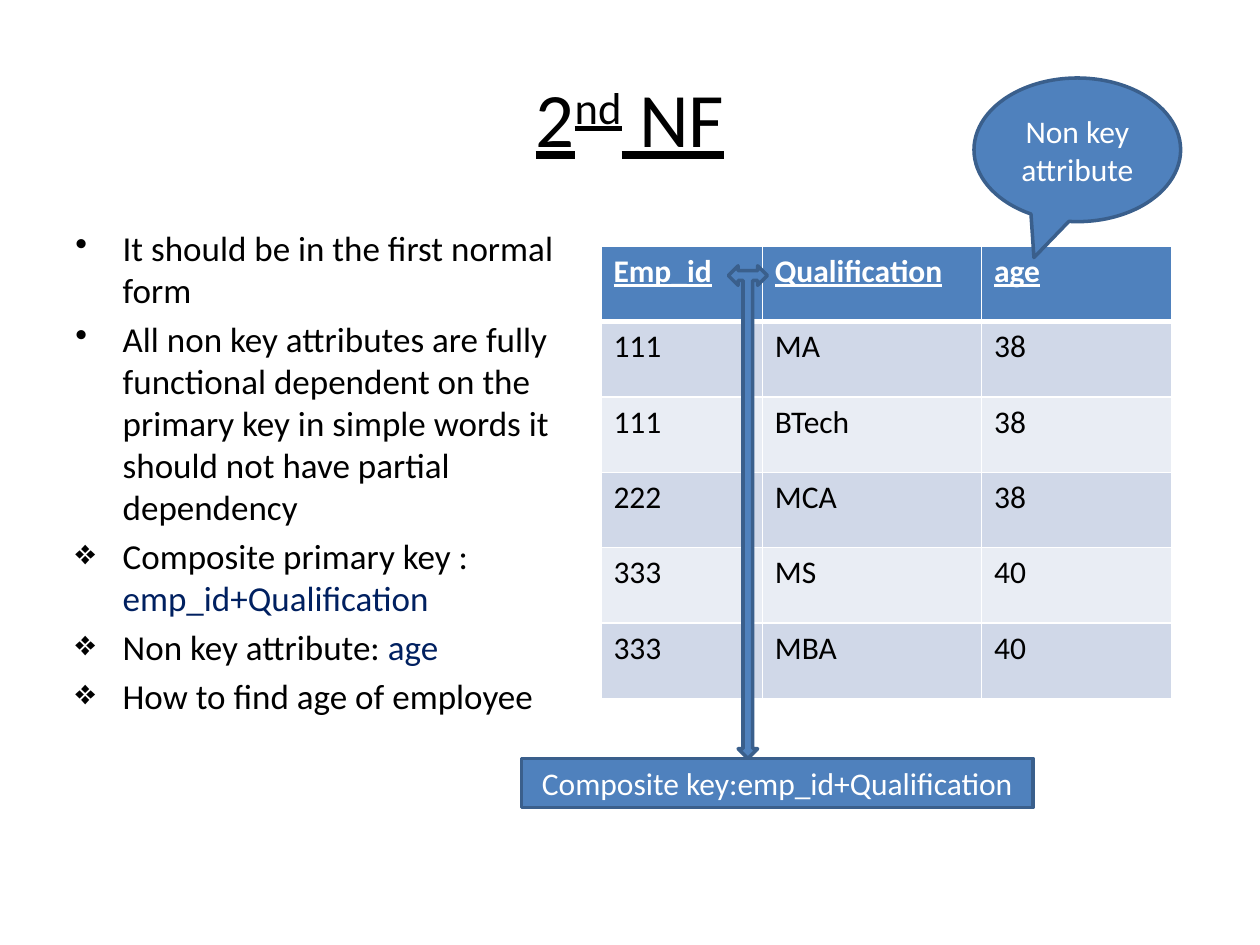
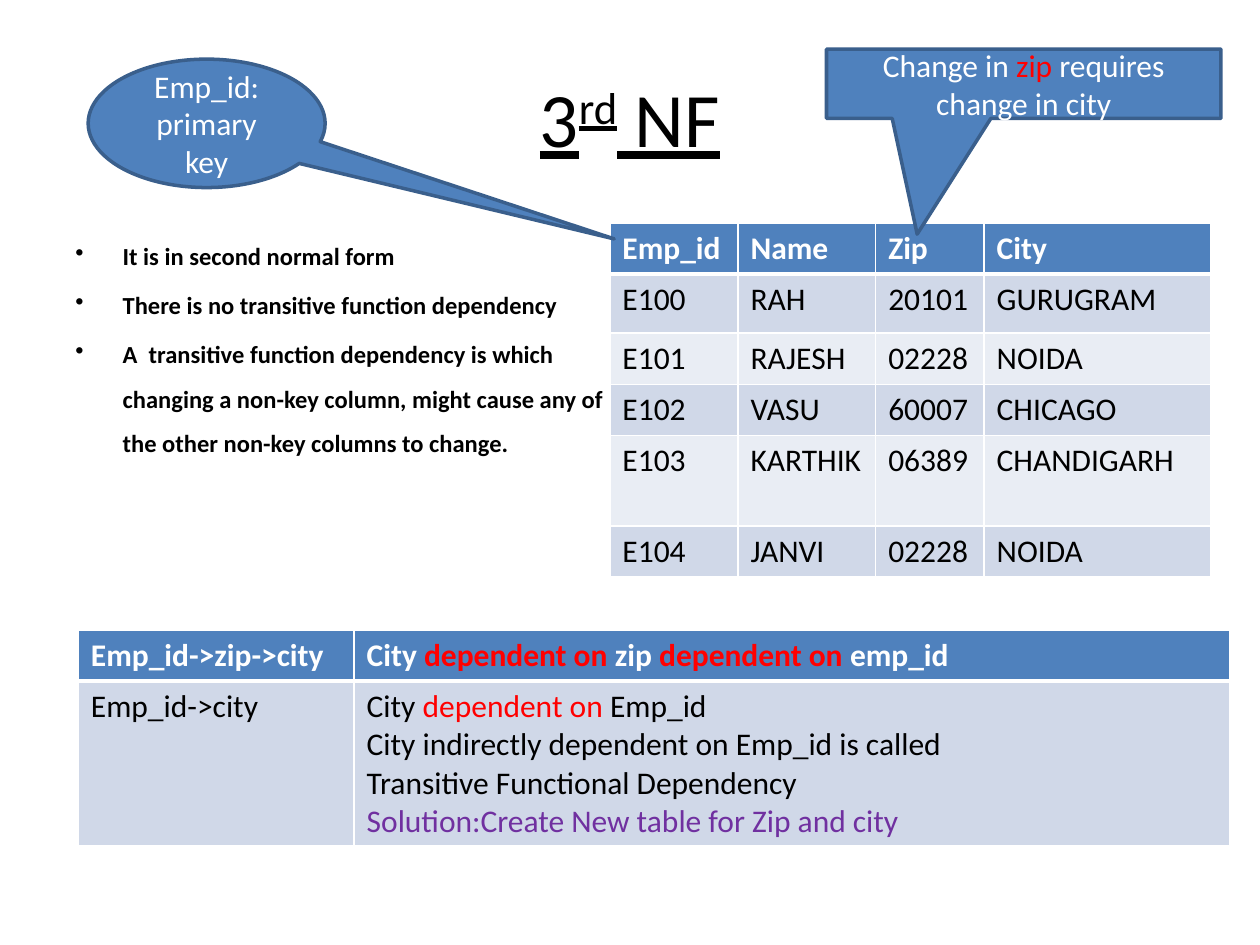
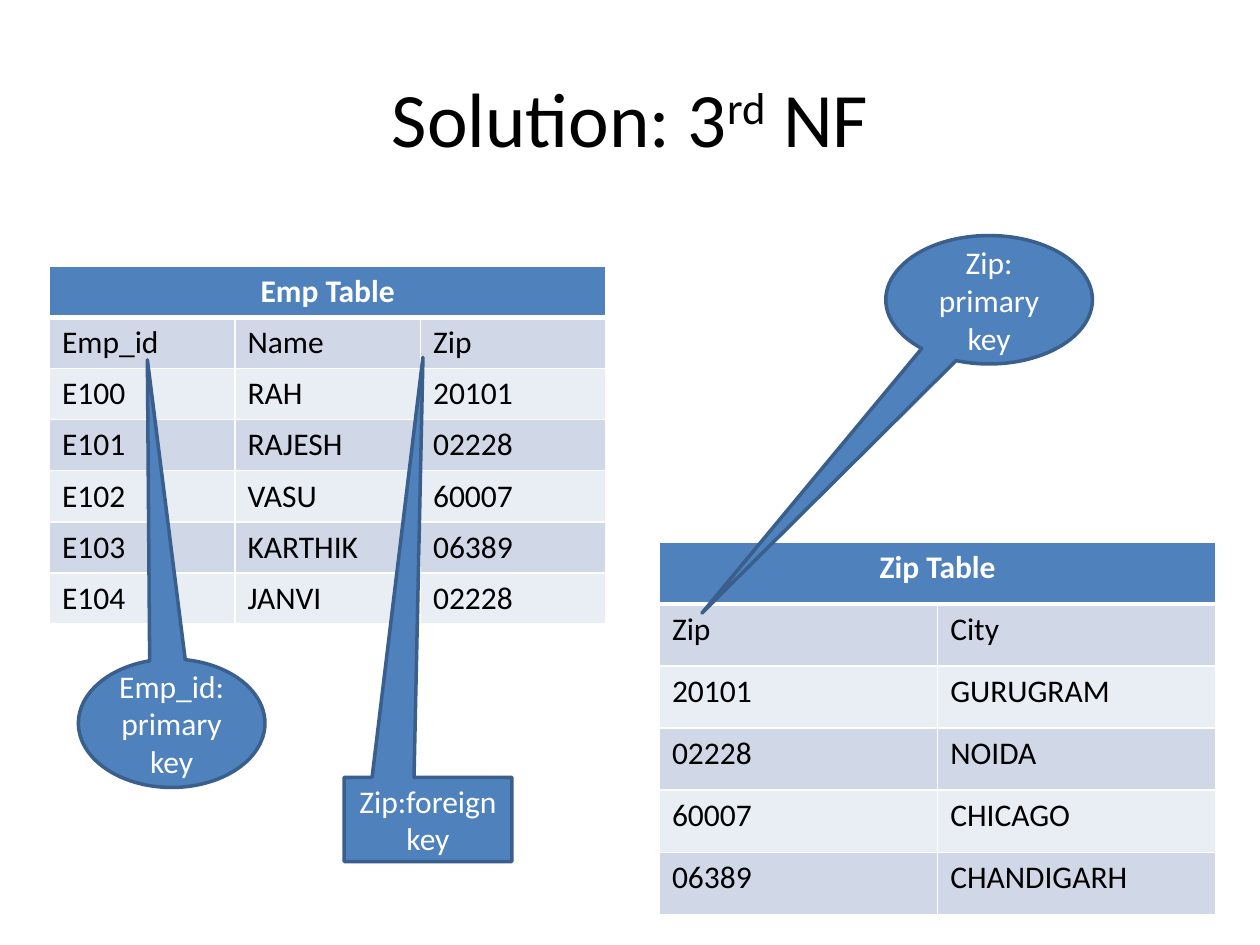
from lxml import etree
from pptx import Presentation
from pptx.dml.color import RGBColor
from pptx.enum.shapes import MSO_SHAPE
from pptx.enum.text import MSO_ANCHOR, PP_ALIGN
from pptx.oxml.ns import qn
from pptx.util import Pt

BLACK = RGBColor(0x00, 0x00, 0x00)
WHITE = RGBColor(0xFF, 0xFF, 0xFF)
BLUE = RGBColor(0x4F, 0x81, 0xBD)
DARK_BLUE = RGBColor(0x3A, 0x5F, 0x8C)
NAVY = RGBColor(0x00, 0x20, 0x60)
RED = RGBColor(0xFF, 0x00, 0x00)
PURPLE = RGBColor(0x70, 0x30, 0xA0)
BAND = RGBColor(0xD0, 0xD8, 0xE8)
LIGHT_BAND = RGBColor(0xE9, 0xED, 0xF4)

LEFT, CENTER = PP_ALIGN.LEFT, PP_ALIGN.CENTER
TOP, MIDDLE = MSO_ANCHOR.TOP, MSO_ANCHOR.MIDDLE
RECTANGLE = MSO_SHAPE.RECTANGLE
OVAL_CALLOUT = MSO_SHAPE.OVAL_CALLOUT
RECTANGLE_CALLOUT = MSO_SHAPE.RECTANGULAR_CALLOUT
THREE_WAY_ARROW = MSO_SHAPE.LEFT_RIGHT_UP_ARROW

FONT = "Calibri"
DOT, DIAMOND = "•", "❖"

EMPLOYEE_HEADER = ("Emp_id", "Name", "Zip", "City")
EMPLOYEES = [
    ("E100", "RAH", "20101", "GURUGRAM"),
    ("E101", "RAJESH", "02228", "NOIDA"),
    ("E102", "VASU", "60007", "CHICAGO"),
    ("E103", "KARTHIK", "06389", "CHANDIGARH"),
    ("E104", "JANVI", "02228", "NOIDA"),
]


class SlideBuilder:
    def __init__(self, deck):
        self.deck = deck
        self.page = None

    def new_page(self):
        self.page = self.deck.slides.add_slide(self.deck.slide_layouts[6])

    def put_text(self, frame, content, size=18, color=BLACK, align=LEFT,
                 bold=False, underline=False):
        paragraphs = [[content]] if isinstance(content, str) else content
        for index, spans in enumerate(paragraphs):
            para = frame.add_paragraph() if index else frame.paragraphs[0]
            para.alignment = align
            for item in spans:
                text, span_color = (item, color) if isinstance(item, str) else item
                span = para.add_run()
                span.text = text
                span.font.name = FONT
                span.font.size = Pt(size)
                span.font.bold = bold
                span.font.underline = underline
                span.font.color.rgb = span_color

    def text_box(self, left, top, width, height, anchor):
        box = self.page.shapes.add_textbox(Pt(left), Pt(top), Pt(width), Pt(height))
        frame = box.text_frame
        frame.word_wrap = True
        frame.vertical_anchor = anchor
        return frame

    def title(self, start, suffix, underline):
        frame = self.text_box(36, 21.6, 648, 90, MIDDLE)
        self.put_text(frame, [[start, suffix, " NF"]], 44, align=CENTER, underline=underline)
        raised = frame.paragraphs[0].runs[1]
        raised._r.get_or_add_rPr().set("baseline", "30000")

    def bullets(self, items, size, bold=False, line_spacing=1.0):
        frame = self.text_box(36, 126, 318.2, 356.4, TOP)
        self.put_text(frame, [spans for _, spans in items], size, bold=bold)
        for para, (mark, _) in zip(frame.paragraphs, items):
            para.line_spacing = line_spacing
            para.space_before = Pt(size * 0.2)
            properties = para._p.get_or_add_pPr()
            properties.set("marL", str(Pt(27)))
            properties.set("indent", str(-Pt(27)))
            etree.SubElement(properties, qn("a:buChar"), char=mark)

    def border(self, cell, side, width):
        line = etree.SubElement(cell._tc.get_or_add_tcPr(), qn(f"a:ln{side}"), w=str(Pt(width)))
        fill = etree.SubElement(line, qn("a:solidFill"))
        etree.SubElement(fill, qn("a:srgbClr"), val=str(WHITE))

    def table(self, left, top, widths, heights, rows, underline_header=False):
        table = self.page.shapes.add_table(
            len(rows), len(widths), Pt(left), Pt(top), Pt(sum(widths)), Pt(sum(heights))).table
        table.horz_banding = False
        for column, width in zip(table.columns, widths):
            column.width = Pt(width)
        for row, height in zip(table.rows, heights):
            row.height = Pt(height)
        for row_index, row in enumerate(rows):
            header = row_index == 0
            fill = BLUE if header else BAND if row_index % 2 else LIGHT_BAND
            for column_index in range(len(widths)):
                cell = table.cell(row_index, column_index)
                for side in "LRTB":
                    thick = (row_index, side) in ((0, "B"), (1, "T"))
                    self.border(cell, side, 3 if thick else 1)
                cell.fill.solid()
                cell.fill.fore_color.rgb = fill
            merged = len(row) < len(widths)
            if merged:
                table.cell(row_index, 0).merge(table.cell(row_index, len(widths) - 1))
            for column_index, content in enumerate(row):
                self.put_text(table.cell(row_index, column_index).text_frame, content,
                              color=WHITE if header else BLACK,
                              align=CENTER if merged else LEFT,
                              bold=header, underline=header and underline_header)

    def shape(self, kind, left, top, width, height, content="", pointer=(), rotation=0):
        shape = self.page.shapes.add_shape(kind, Pt(left), Pt(top), Pt(width), Pt(height))
        shape.shadow.inherit = False
        shape.rotation = rotation
        shape.fill.solid()
        shape.fill.fore_color.rgb = BLUE
        shape.line.color.rgb = DARK_BLUE
        shape.line.width = Pt(2)
        for index, value in enumerate(pointer):
            shape.adjustments[index] = value
        if content:
            shape.text_frame.word_wrap = True
            shape.text_frame.vertical_anchor = MIDDLE
            self.put_text(shape.text_frame, content, color=WHITE, align=CENTER)


def second_normal_form(builder):
    builder.new_page()
    builder.title("2", "nd", underline=True)
    builder.bullets([
        (DOT, ["It should be in the first normal form"]),
        (DOT, ["All non key attributes are fully functional dependent on the primary key "
               "in simple words it should not have partial dependency"]),
        (DIAMOND, ["Composite primary key : ", ("emp_id+Qualification", NAVY)]),
        (DIAMOND, ["Non key attribute: ", ("age", NAVY)]),
        (DIAMOND, ["How to find age of employee"]),
    ], 20)
    builder.table(343.4, 140.6, [92.2, 125.3, 108.7], [43.1] * 6, [
        ("Emp_id", "Qualification", "age"),
        ("111", "MA", "38"),
        ("111", "BTech", "38"),
        ("222", "MCA", "38"),
        ("333", "MS", "40"),
        ("333", "MBA", "40"),
    ], underline_header=True)
    builder.shape(OVAL_CALLOUT, 556.6, 44.6, 118.1, 82.1, "Non key attribute", (-0.21, 0.75))
    builder.shape(THREE_WAY_ARROW, 416.2, 151.9, 22.3, 281.5, rotation=180)
    builder.shape(RECTANGLE, 298, 433.4, 292.4, 28, "Composite key:emp_id+Qualification")


def third_normal_form(builder):
    builder.new_page()
    builder.title("3", "rd", underline=True)
    builder.bullets([
        (DOT, ["It is in second normal form"]),
        (DOT, ["There is no transitive function dependency"]),
        (DOT, ["A  transitive function dependency is which changing a non-key column, "
               "might cause any of the other non-key columns to change."]),
    ], 14, bold=True, line_spacing=1.5)
    builder.table(348.5, 127.4, [73.2, 78.7, 62, 129.5], [29.2, 33.8, 29.2, 29.2, 51.8, 29.2],
                  [EMPLOYEE_HEADER, *EMPLOYEES])
    dependent = ("dependent on ", RED)
    builder.table(44.8, 360, [157.6, 500.4], [29.2, 93.9], [
        ("Emp_id->zip->city", [["City ", dependent, "zip ", dependent, "emp_id"]]),
        ("Emp_id->city", [
            ["City ", dependent, "Emp_id"],
            ["City indirectly dependent on Emp_id is called"],
            ["Transitive Functional Dependency"],
            [("Solution:Create New table for Zip and city", PURPLE)],
        ]),
    ])
    builder.shape(OVAL_CALLOUT, 50.4, 33.8, 135.4, 73.4, "Emp_id: primary key", (1.72, 0.9))
    builder.shape(RECTANGLE_CALLOUT, 472.3, 28.1, 225.4, 39.6,
                  [["Change in", (" zip ", RED), "requires change in city"]], (-0.27, 2.17))


def third_normal_form_solution(builder):
    builder.new_page()
    builder.title("Solution: 3", "rd", underline=False)
    builder.table(28.3, 152.2, [106] * 3, [29.2] * 7,
                  [("Emp Table",), EMPLOYEE_HEADER[:3], *(row[:3] for row in EMPLOYEES)])
    cities = dict.fromkeys(row[2:] for row in EMPLOYEES)
    builder.table(376.8, 309.6, [159] * 2, [35.5] * 6,
                  [("Zip Table",), EMPLOYEE_HEADER[2:], *cities])
    builder.shape(OVAL_CALLOUT, 44.8, 376.6, 106.6, 73.4, "Emp_id: primary key", (-0.13, -2.83))
    builder.shape(RECTANGLE_CALLOUT, 196.7, 444.2, 95.8, 48.2, "Zip:foreign key", (-0.03, -5.48))
    builder.shape(OVAL_CALLOUT, 506.2, 134.6, 118.1, 73.4, "Zip: primary key", (-1.39, 2.44))


def main():
    deck = Presentation()
    deck.slide_width, deck.slide_height = Pt(720), Pt(540)
    builder = SlideBuilder(deck)
    second_normal_form(builder)
    third_normal_form(builder)
    third_normal_form_solution(builder)
    deck.save("out.pptx")


if __name__ == "__main__":
    main()
